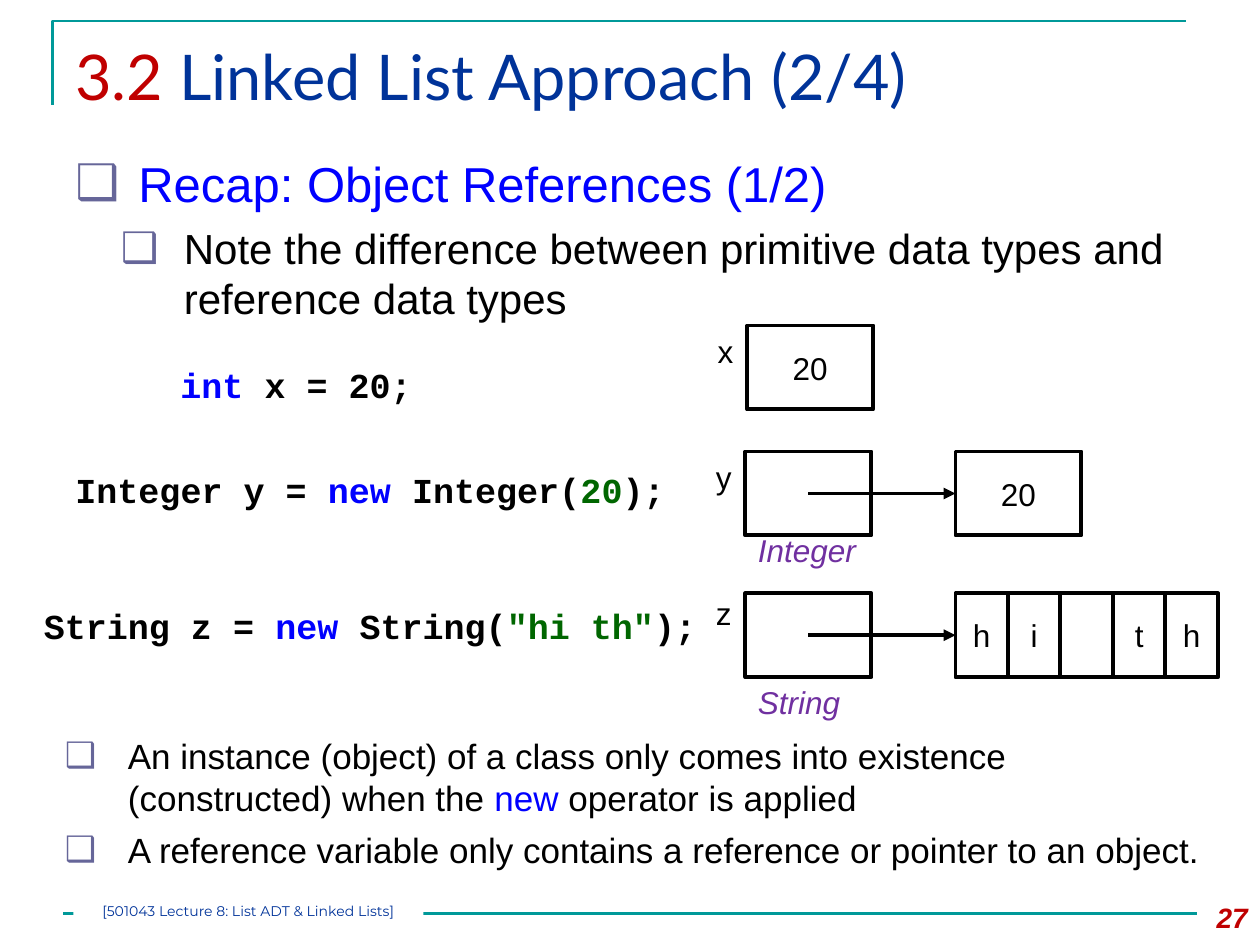
from dataclasses import dataclass

from lxml import etree
from pptx import Presentation
from pptx import util as u
from pptx.dml.color import RGBColor
from pptx.enum import shapes, text
from pptx.oxml import ns

Pt = u.Pt
TEAL = RGBColor(0x00, 0x99, 0x99)
RED = RGBColor(0xC0, 0x00, 0x00)
NAVY = RGBColor(0x00, 0x33, 0x99)
BLUE = RGBColor(0x00, 0x00, 0xFF)
GREEN = RGBColor(0x00, 0x66, 0x00)
PURPLE = RGBColor(0x70, 0x30, 0xA0)
BLACK = RGBColor(0x00, 0x00, 0x00)
WHITE = RGBColor(0xFF, 0xFF, 0xFF)
BULLET = RGBColor(0x66, 0x66, 0x99)

BOX_W, BOX_H, CELL_W = 72, 48, 30
OBJECT_X = 546
LEFT, CENTER, RIGHT = text.PP_ALIGN.LEFT, text.PP_ALIGN.CENTER, text.PP_ALIGN.RIGHT


@dataclass(frozen=True)
class Font:
    size: float
    name: str = "Arial"
    bold: bool = False
    italic: bool = False


@dataclass(frozen=True)
class Run:
    words: str
    color: RGBColor = BLACK


@dataclass(frozen=True)
class Bullet:
    runs: tuple[Run, ...]
    font: Font
    margin: float = 36
    level: int = 0


@dataclass(frozen=True)
class Variable:
    name: str
    name_at: tuple[float, float]
    box_at: tuple[float, float]
    code: tuple[Run, ...]
    code_at: tuple[float, float, float]
    value: str = ""
    cells: tuple[str, ...] = ()
    cell_w: float = BOX_W
    kind: str = ""
    kind_at: tuple[float, float, float] = (0, 0, 0)


LABEL = Font(18)
KIND = Font(18, italic=True)
CODE = Font(20, "Courier New", bold=True)

VARIABLES = [
    Variable("x", (403, 186), (427, 186),
             (Run("int", BLUE), Run(" x = 20;")), (96, 204, 192), value="20"),
    Variable("y", (402, 258), (426, 258),
             (Run("Integer y = "), Run("new", BLUE), Run(" Integer("),
              Run("20", GREEN), Run(");")), (36, 264, 378),
             cells=("20",), kind="Integer", kind_at=(426, 300, 73)),
    Variable("z", (402, 336), (426, 339),
             (Run("String z = "), Run("new", BLUE), Run(" String("),
              Run('"hi th"', GREEN), Run(");")), (18, 342, 390),
             cells=("h", "i", "", "t", "h"), cell_w=CELL_W,
             kind="String", kind_at=(426, 387, 62)),
]

TOPIC = [
    Bullet((Run("Recap: Object References (1/2)", BLUE),), Font(28)),
    Bullet((Run("Note the difference between primitive data types and reference data types"),),
           Font(24), margin=62, level=1),
]
NOTES = [
    Bullet((Run("An instance (object) of a class only comes into existence (constructed) when the"),
            Run(" new ", BLUE), Run("operator is applied")), Font(20)),
    Bullet((Run("A reference variable only contains a reference or pointer to an object."),), Font(20)),
]


def add_runs(p, runs: tuple[Run, ...], font: Font) -> None:
    for run in runs:
        r = p.add_run()
        r.text = run.words
        r.font.name = font.name
        r.font.size = Pt(font.size)
        r.font.bold = font.bold
        r.font.italic = font.italic
        r.font.color.rgb = run.color


def add_text(s, x: float, y: float, w: float, h: float, runs: tuple[Run, ...],
             font: Font, align=LEFT, wrap: bool = True) -> None:
    tf = s.shapes.add_textbox(Pt(x), Pt(y), Pt(w), Pt(h)).text_frame
    tf.word_wrap = wrap
    p = tf.paragraphs[0]
    p.alignment = align
    add_runs(p, runs, font)


def add_bullets(s, x: float, y: float, w: float, h: float, bullets: list[Bullet]) -> None:
    tf = s.shapes.add_textbox(Pt(x), Pt(y), Pt(w), Pt(h)).text_frame
    tf.word_wrap = True
    for i, bullet in enumerate(bullets):
        p = tf.add_paragraph() if i else tf.paragraphs[0]
        p.level = bullet.level
        p.space_before = Pt(6)
        pPr = p._p.get_or_add_pPr()
        pPr.set("marL", str(Pt(bullet.margin)))
        pPr.set("indent", str(-Pt(36)))
        color = etree.SubElement(pPr, ns.qn("a:buClr"))
        etree.SubElement(color, ns.qn("a:srgbClr"), val=str(BULLET))
        etree.SubElement(pPr, ns.qn("a:buFont"), typeface="Arial")
        etree.SubElement(pPr, ns.qn("a:buChar"), char="❑")
        add_runs(p, bullet.runs, bullet.font)


def add_rect(s, x: float, y: float, w: float, h: float):
    sp = s.shapes.add_shape(shapes.MSO_SHAPE.RECTANGLE, Pt(x), Pt(y), Pt(w), Pt(h))
    sp.shadow.inherit = False
    sp.fill.solid()
    sp.fill.fore_color.rgb = WHITE
    return sp


def add_box(s, x: float, y: float, w: float, words: str = ""):
    sp = add_rect(s, x, y, w, BOX_H)
    sp.line.color.rgb = BLACK
    sp.line.width = Pt(2.25)
    if words:
        tf = sp.text_frame
        tf.word_wrap = False
        tf.vertical_anchor = text.MSO_ANCHOR.MIDDLE
        p = tf.paragraphs[0]
        p.alignment = CENTER
        add_runs(p, (Run(words),), LABEL)
    return sp


def add_line(s, x1: float, y1: float, x2: float, y2: float, color: RGBColor, width: float):
    cxn = s.shapes.add_connector(shapes.MSO_CONNECTOR.STRAIGHT, Pt(x1), Pt(y1), Pt(x2), Pt(y2))
    cxn.line.color.rgb = color
    cxn.line.width = Pt(width)
    etree.SubElement(cxn._element.spPr, ns.qn("a:effectLst"))
    return cxn


def add_variable(s, v: Variable) -> None:
    x, y = v.box_at
    add_box(s, x, y, BOX_W, v.value)
    cells = [add_box(s, OBJECT_X + i * v.cell_w, y, v.cell_w, words)
             for i, words in enumerate(v.cells)]
    if cells:
        mid = y + BOX_H / 2
        cxn = add_line(s, x + BOX_W / 2, mid, OBJECT_X, mid, BLACK, 2.25)
        cxn.end_connect(cells[0], 1)
        etree.SubElement(cxn.line._get_or_add_ln(), ns.qn("a:tailEnd"), type="triangle")
    add_text(s, *v.name_at, 23, 29, (Run(v.name),), LABEL, wrap=False)
    if v.kind:
        add_text(s, *v.kind_at, 29, (Run(v.kind, PURPLE),), KIND, wrap=False)
    add_text(s, *v.code_at, 32, v.code, CODE)


def add_frame(s) -> None:
    builder = s.shapes.build_freeform(Pt(30), Pt(60))
    builder.add_line_segments([(Pt(30), Pt(12)), (Pt(678), Pt(12))], close=False)
    sp = builder.convert_to_shape()
    sp.shadow.inherit = False
    sp.fill.background()
    sp.line.color.rgb = TEAL
    sp.line.width = Pt(1.5)
    add_line(s, 36, 522, 684, 522, TEAL, 1.5)


def add_footer(s) -> None:
    sp = add_rect(s, 42, 516, 200, 14.4)
    sp.line.fill.background()
    tf = sp.text_frame
    tf.word_wrap = True
    tf.margin_left = tf.margin_top = tf.margin_right = tf.margin_bottom = 0
    tf.vertical_anchor = text.MSO_ANCHOR.TOP
    p = tf.paragraphs[0]
    p.alignment = CENTER
    add_runs(p, (Run("[501043 Lecture 8: List ADT & Linked Lists]", NAVY),), Font(8, "Montserrat"))


def main() -> None:
    prs = Presentation()
    prs.slide_width, prs.slide_height = Pt(720), Pt(540)
    s = prs.slides.add_slide(prs.slide_layouts[6])
    add_frame(s)
    add_text(s, 36, 18, 648, 62, (Run("3.2 ", RED), Run("Linked List Approach (2/4)", NAVY)),
             Font(36, "Lato"))
    add_bullets(s, 36, 84, 672, 114, TOPIC)
    add_text(s, 672, 511, 48, 29, (Run("27", RED),), Font(16, bold=True, italic=True), RIGHT)
    for v in VARIABLES:
        add_variable(s, v)
    add_bullets(s, 30, 416, 672, 94, NOTES)
    add_footer(s)
    prs.save("out.pptx")


if __name__ == "__main__":
    main()
